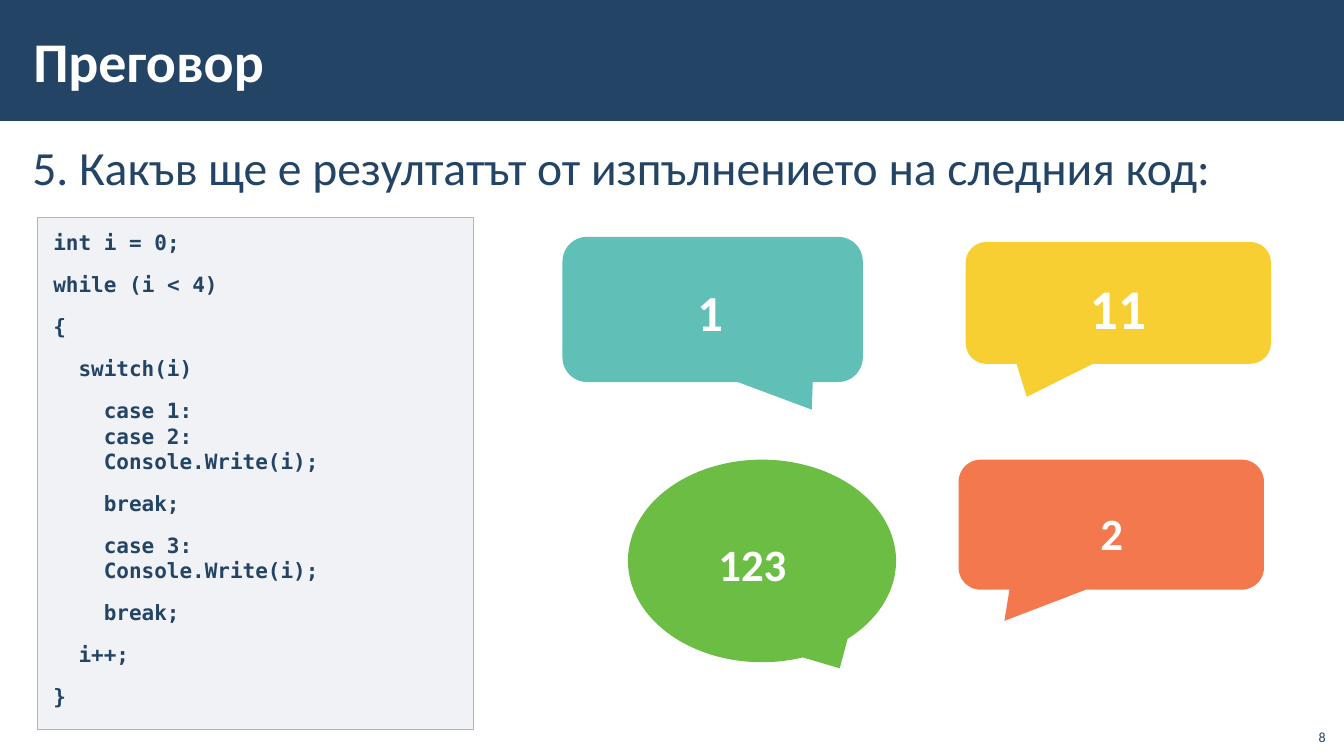
import pptx
import pptx.util
import pptx.dml.color
import pptx.enum.shapes
import pptx.enum.text
import pptx.oxml.ns
import lxml.etree

RGB = pptx.dml.color.RGBColor
NAVY = RGB(0x23, 0x44, 0x65)
WHITE = RGB(0xFF, 0xFF, 0xFF)
GREY = RGB(0xA3, 0xAB, 0xBC)
GREY_LINE = RGB(0xAD, 0xB4, 0xC3)
GREEN = RGB(0x6C, 0xBD, 0x44)
YELLOW = RGB(0xF5, 0xC3, 0x00)
ORANGE = RGB(0xF1, 0x57, 0x21)
TEAL = RGB(0x60, 0xBF, 0xB7)

SHAPE = pptx.enum.shapes.MSO_SHAPE
ALIGN = pptx.enum.text.PP_ALIGN
ANCHOR = pptx.enum.text.MSO_ANCHOR
SANS, MONO = "Calibri", "DejaVu Sans Mono"
NARROW, WIDE = (0.12, 0.04), (0.16, 0.12)  # text insets: sides, top and bottom


class Deck:
    """Holds the style and the current slide; the grid is 0.1 inch square."""
    CELL = pptx.util.Inches(0.1)

    def __init__(self, cols, rows):
        self.prs = pptx.Presentation()
        self.prs.slide_width, self.prs.slide_height = self.cells(cols, rows)
        self.s = self.prs.slides.add_slide(self.prs.slide_layouts[5])

    def cells(self, *counts):
        return [round(n * self.CELL) for n in counts]

    def frame(self, sp, inset, anchor=ANCHOR.TOP):
        tf = sp.text_frame
        tf.word_wrap = True
        tf.auto_size = pptx.enum.text.MSO_AUTO_SIZE.NONE
        tf.vertical_anchor = anchor
        side, edge = map(pptx.util.Inches, inset)
        tf.margin_left = tf.margin_right = side
        tf.margin_top = tf.margin_bottom = edge
        return tf

    def fill_paragraph(self, p, text, size, color=NAVY, bold=True, font=SANS,
                       align=ALIGN.LEFT, spacing=1.0, gap=0, indent=0):
        p.alignment, p.line_spacing = align, spacing
        p.space_before = p.space_after = pptx.util.Pt(gap)
        pPr = p._p.get_or_add_pPr()
        pPr.set("marL", str(pptx.util.Inches(indent)))
        pPr.set("indent", "0")
        for i, line in enumerate(text.split("\n")):
            if i:
                p.add_line_break()
            r = p.add_run()
            r.text = line
            r.font.name, r.font.size = font, pptx.util.Pt(size)
            r.font.bold, r.font.color.rgb = bold, color

    def title(self, box, text, size):
        sp = self.s.shapes.title
        sp.left, sp.top, sp.width, sp.height = self.cells(*box)
        tf = self.frame(sp, NARROW, ANCHOR.MIDDLE)
        self.fill_paragraph(tf.paragraphs[0], text, size, WHITE)

    def text(self, box, text, size, inset=NARROW, anchor=ANCHOR.TOP, parent=None, **style):
        sp = (parent or self.s).shapes.add_textbox(*self.cells(*box))
        tf = self.frame(sp, inset, anchor)
        self.fill_paragraph(tf.paragraphs[0], text, size, **style)

    def shape(self, kind, box, fill, opacity=100, line=None, adjust=(), parent=None):
        sp = (parent or self.s).shapes.add_shape(kind, *self.cells(*box))
        sp.shadow.inherit = False
        for i, value in enumerate(adjust):
            sp.adjustments[i] = value
        sp.fill.solid()
        sp.fill.fore_color.rgb = fill
        if opacity < 100:
            clr = sp._element.spPr.find(".//" + pptx.oxml.ns.qn("a:srgbClr"))
            alpha = lxml.etree.SubElement(clr, pptx.oxml.ns.qn("a:alpha"))
            alpha.set("val", str(opacity * 1000))
        if line:
            sp.line.color.rgb, sp.line.width = line, pptx.util.Pt(1)
        else:
            sp.line.fill.background()
        return sp

    def band(self, box, fill):
        sp = self.shape(SHAPE.RECTANGLE, box, fill)
        self.s.shapes._spTree.insert(2, sp._element)  # behind the title

    def code(self, box, lines, size):
        sp = self.shape(SHAPE.RECTANGLE, box, GREY, 15, GREY_LINE)
        tf = self.frame(sp, WIDE)
        for i, (level, text) in enumerate(lines):
            p = tf.add_paragraph() if i else tf.paragraphs[0]
            self.fill_paragraph(p, text, size, font=MONO, gap=6, indent=level * 0.25)

    def answer(self, kind, box, fill, opacity, adjust, label_box, text, size, **style):
        group = self.s.shapes.add_group_shape()
        self.shape(kind, box, fill, opacity, adjust=adjust, parent=group)
        self.text(label_box, text, size, WIDE, parent=group, color=WHITE,
                  align=ALIGN.CENTER, **style)


deck = Deck(133.33, 75)

# Header and question
deck.band((0, 0, 133.4, 12), NAVY)
deck.title((2.1, 1.1, 106.3, 9.7), "Преговор", 40)
deck.text((2, 13, 129.1, 60.5), "5. Какъв ще е резултатът от изпълнението на следния код:",
          34, bold=False, spacing=1.05, gap=6)

# Code listing: indent level and text
deck.code((3.7, 21.6, 43.3, 50.8), [
    (0, "int i = 0;"),
    (0, "while (i < 4)"),
    (0, "{"),
    (1, "switch(i)"),
    (2, "case 1:\ncase 2:\nConsole.Write(i);"),
    (2, "break;"),
    (2, "case 3:\nConsole.Write(i);"),
    (2, "break;"),
    (1, "i++;"),
    (0, "}"),
], 15)

# Possible answers
ROUND, OVAL = SHAPE.ROUNDED_RECTANGULAR_CALLOUT, SHAPE.OVAL_CALLOUT
deck.answer(OVAL, (62.3, 45.6, 26.6, 20.1), GREEN, 100, (0.29, 0.53),
            (55.8, 52, 32.7, 7.8), "123", 32, indent=0.5)
deck.answer(ROUND, (95.8, 24, 30.3, 12.1), YELLOW, 80, (-0.3, 0.77, 0.17),
            (95.9, 25.3, 30, 9.4), "11", 40, spacing=1.1)
deck.answer(ROUND, (95.1, 45.6, 30.3, 12.9), ORANGE, 80, (-0.35, 0.74, 0.17),
            (94.9, 48.4, 30.8, 8), "2", 32, spacing=1.1)
deck.answer(ROUND, (55.8, 23.5, 29.8, 14.4), TEAL, 100, (0.33, 0.69, 0.17),
            (59.1, 26.1, 22.7, 8.7), "1", 36, spacing=1.1)

# Page number
deck.text((128.5, 71.2, 4, 3.2), "8", 10, (0.1, 0.05), ANCHOR.BOTTOM,
          bold=False, align=ALIGN.RIGHT)

deck.prs.save("out.pptx")
